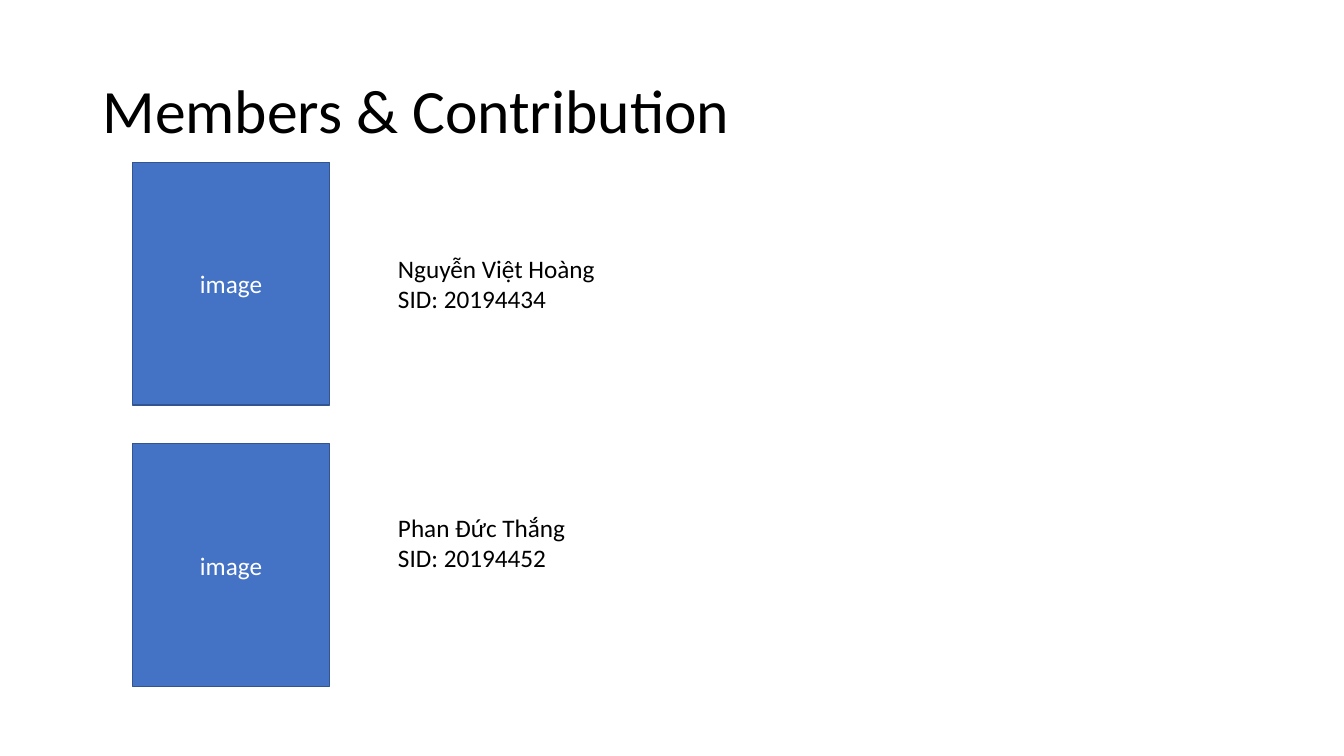
from dataclasses import dataclass

from pptx import Presentation
from pptx import util as u
from pptx.dml import color
from pptx.enum import shapes, text

Pt = u.Pt


@dataclass(frozen=True)
class Theme:
    font: str = "Calibri"
    title: int = 44
    body: int = 18
    ink: str = "000000"
    light: str = "FFFFFF"
    fill: str = "4472C4"
    line: str = "325491"


@dataclass(frozen=True)
class Member:
    name: str
    sid: str
    card: float  # top of the image card
    label: float  # top of the name label
    width: float  # width of the name label


THEME = Theme()
MEMBERS = [
    Member("Nguyễn Việt Hoàng", "20194434", 115.9, 177.1, 172.1),
    Member("Phan Đức Thắng", "20194452", 316.8, 362.2, 157.7),
]


def rgb(code: str) -> color.RGBColor:
    return color.RGBColor.from_string(code)


def add_run(para, words: str, size: int, ink: str) -> None:
    run = para.add_run()
    run.text = words
    run.font.name = THEME.font
    run.font.size = Pt(size)
    run.font.color.rgb = rgb(ink)


def draw_title(slide, words: str) -> None:
    title = slide.shapes.title
    title.left, title.top = Pt(66), Pt(28.8)
    title.width, title.height = Pt(828), Pt(104.4)
    frame = title.text_frame
    frame.auto_size = text.MSO_AUTO_SIZE.NONE
    frame.vertical_anchor = text.MSO_ANCHOR.MIDDLE
    para = frame.paragraphs[0]
    para.alignment = text.PP_ALIGN.LEFT
    para.line_spacing = 0.9
    add_run(para, words, THEME.title, THEME.ink)


def draw_label(slide, member: Member) -> None:
    box = slide.shapes.add_textbox(
        Pt(277.2), Pt(member.label), Pt(member.width), Pt(50.9))
    frame = box.text_frame
    frame.word_wrap = False
    frame.auto_size = text.MSO_AUTO_SIZE.SHAPE_TO_FIT_TEXT
    add_run(frame.paragraphs[0], member.name, THEME.body, THEME.ink)
    add_run(frame.add_paragraph(), f"SID: {member.sid}", THEME.body, THEME.ink)


def draw_card(slide, member: Member) -> None:
    card = slide.shapes.add_shape(
        shapes.MSO_SHAPE.RECTANGLE,
        Pt(94.5), Pt(member.card), Pt(141.1), Pt(173.5))
    card.shadow.inherit = False
    card.fill.solid()
    card.fill.fore_color.rgb = rgb(THEME.fill)
    card.line.color.rgb = rgb(THEME.line)
    card.line.width = Pt(1)
    frame = card.text_frame
    frame.vertical_anchor = text.MSO_ANCHOR.MIDDLE
    para = frame.paragraphs[0]
    para.alignment = text.PP_ALIGN.CENTER
    add_run(para, "image", THEME.body, THEME.light)


def main() -> None:
    deck = Presentation()
    deck.slide_width, deck.slide_height = Pt(960), Pt(540)
    slide = deck.slides.add_slide(deck.slide_layouts.get_by_name("Title Only"))

    # Heading
    draw_title(slide, "Members & Contribution")

    # Team members
    for member in MEMBERS:
        draw_label(slide, member)
        draw_card(slide, member)

    deck.save("out.pptx")


if __name__ == "__main__":
    main()
